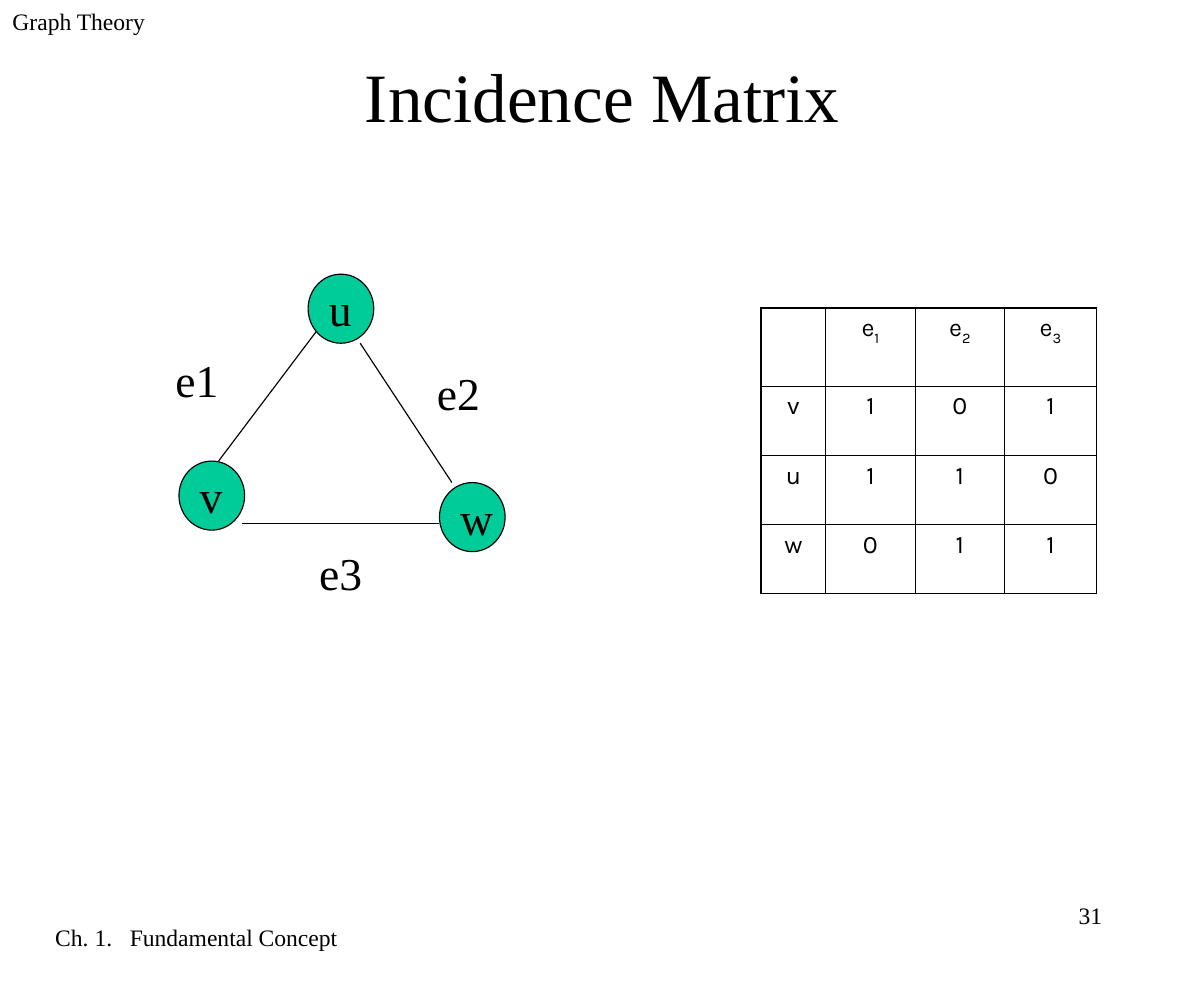
import pptx
import pptx.util
import pptx.dml.color
import pptx.enum.shapes
import pptx.enum.text
import pptx.oxml.ns
import lxml.etree

RGB = pptx.dml.color.RGBColor
BLACK = RGB(0, 0, 0)
WHITE = RGB(255, 255, 255)
GREEN = RGB(0, 204, 153)
SERIF, SANS = "Times New Roman", "Karla"
SHAPE = pptx.enum.shapes.MSO_SHAPE
ALIGN = pptx.enum.text.PP_ALIGN
ANCHOR = pptx.enum.text.MSO_ANCHOR
Pt = pptx.util.Pt
qn = pptx.oxml.ns.qn


def write(tf, text, size=15, font=SERIF, align=ALIGN.LEFT, anchor=ANCHOR.TOP,
          wrap=True, sub="", before=0, margins=(0.11, 0.06)):
    tf.word_wrap = wrap
    tf.auto_size = pptx.enum.text.MSO_AUTO_SIZE.NONE
    tf.vertical_anchor = anchor
    tf.margin_left = tf.margin_right = pptx.util.Inches(margins[0])
    tf.margin_top = tf.margin_bottom = pptx.util.Inches(margins[1])
    p = tf.paragraphs[0]
    p.alignment = align
    p.space_before = Pt(before)
    for part in filter(None, (text, sub)):
        r = p.add_run()
        r.text = part
        r.font.size, r.font.name = Pt(size), font
        r.font.color.rgb = BLACK
    if sub:
        r.font._element.set("baseline", "-25000")


class Deck:
    """Slide builder on a grid whose columns and rows are a tenth of an inch."""

    def __init__(self, cols, rows):
        self.prs = pptx.Presentation()
        self.prs.slide_width, self.prs.slide_height = self.grid(cols, rows)
        self.s = self.prs.slides.add_slide(self.prs.slide_layouts[5])

    def grid(self, *cells):
        return [pptx.util.Inches(c / 10) for c in cells]

    def title(self, box, text):
        sp = self.s.shapes.title
        sp.left, sp.top, sp.width, sp.height = self.grid(*box)
        write(sp.text_frame, text, size=44, align=ALIGN.CENTER, anchor=ANCHOR.MIDDLE)

    def label(self, box, text, align):
        sp = self.s.shapes.add_textbox(*self.grid(*box))
        write(sp.text_frame, text, align=align)

    def shape(self, kind, box, text, fill, line):
        sp = self.s.shapes.add_shape(kind, *self.grid(*box))
        sp.shadow.inherit = False
        sp.fill.solid()
        sp.fill.fore_color.rgb = fill
        sp.line.color.rgb, sp.line.width = line, Pt(0.75)
        write(sp.text_frame, text, size=29, anchor=ANCHOR.MIDDLE, wrap=False,
              margins=(0.1, 0.05))

    def edge(self, *ends):
        kind = pptx.enum.shapes.MSO_CONNECTOR.STRAIGHT
        sp = self.s.shapes.add_connector(kind, *self.grid(*ends))
        sp.line.color.rgb, sp.line.width = BLACK, Pt(0.75)
        lxml.etree.SubElement(sp._element.spPr, qn("a:effectLst"))

    def border(self, cell, side, width):
        ln = lxml.etree.SubElement(cell._tc.get_or_add_tcPr(), qn("a:ln" + side),
                                   w=str(Pt(width)))
        fill = lxml.etree.SubElement(ln, qn("a:solidFill"))
        lxml.etree.SubElement(fill, qn("a:srgbClr"), val=str(BLACK))

    def matrix(self, left, top, widths, heights, data):
        box = self.grid(left, top, sum(widths), sum(heights))
        rows, cols = len(heights), len(widths)
        table = self.s.shapes.add_table(rows, cols, *box).table
        table.first_row = table.horz_banding = False
        for col, width in zip(table.columns, self.grid(*widths)):
            col.width = width
        for row, height in zip(table.rows, self.grid(*heights)):
            row.height = height
        for i, values in enumerate(data):
            for j, value in enumerate(values):
                cell = table.cell(i, j)
                outer = {"L": j == 0, "R": j == cols - 1, "T": i == 0, "B": i == rows - 1}
                for side, is_outer in outer.items():
                    self.border(cell, side, 1.08 if is_outer else 0.45)
                cell.fill.background()
                if value:
                    write(cell.text_frame, value[0], sub=value[1:], size=16,
                          font=SANS, align=ALIGN.CENTER, before=4, margins=(0.1, 0.05))


def main():
    deck = Deck(106.3, 86.6)
    deck.title((8, 2.6, 90.4, 11.5), "Incidence Matrix")
    deck.label((0, 0, 22.2, 5.8), "Graph Theory", ALIGN.LEFT)
    deck.label((0, 80.9, 34.7, 5.8), "Ch. 1.   Fundamental Concept", ALIGN.CENTER)
    deck.label((76.2, 78.9, 22.2, 5.8), "31", ALIGN.RIGHT)

    for ends in ((28.5, 28.5, 19.3, 40.7), (31.8, 30.3, 39.9, 42.6),
                 (21.4, 46.2, 38.8, 46.2)):
        deck.edge(*ends)
    for name, x, y in (("v", 15.8, 40.7), ("w", 38.8, 42.6), ("u", 27.2, 24.2)):
        deck.shape(SHAPE.OVAL, (x, y, 5.8, 6.1), name, GREEN, BLACK)
    for name, x, y in (("e1", 14.5, 31.6), ("e2", 37.6, 32.8), ("e3", 27.2, 48.7)):
        deck.shape(SHAPE.RECTANGLE, (x, y, 4.6, 3.7), name, WHITE, WHITE)

    deck.matrix(67.2, 27.2, (5.7, 7.9, 7.9, 8.1), (6.9, 6.1, 6.1, 6.1),
                (("", "e1", "e2", "e3"), "v101", "u110", "w011"))
    deck.prs.save("out.pptx")


if __name__ == "__main__":
    main()
